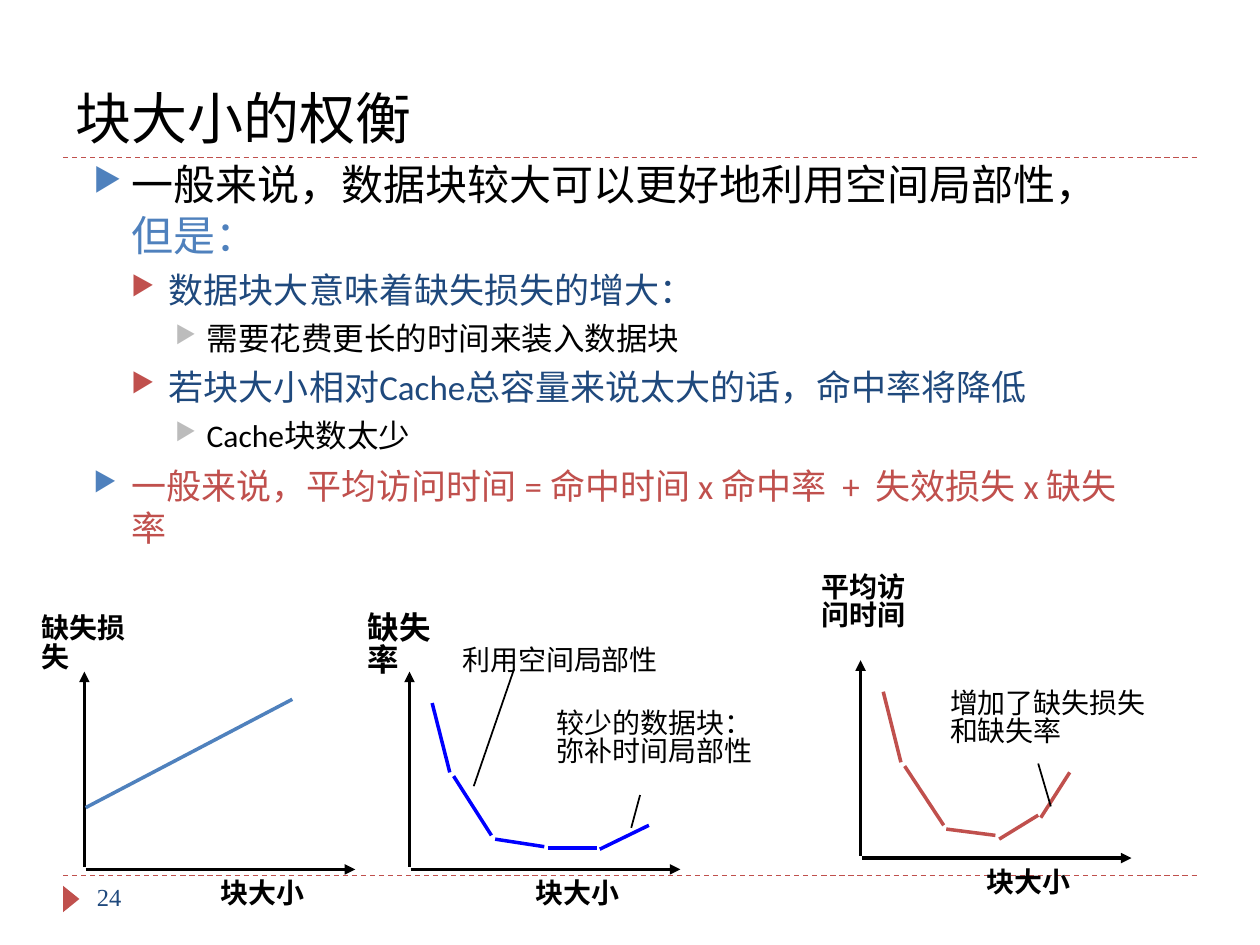
from dataclasses import dataclass

from lxml import etree
from pptx import Presentation
from pptx.dml.color import RGBColor
from pptx.enum.dml import MSO_LINE
from pptx.enum.shapes import MSO_CONNECTOR, MSO_SHAPE
from pptx.enum.text import MSO_ANCHOR, MSO_AUTO_SIZE, PP_ALIGN
from pptx.oxml.ns import qn
from pptx.util import Pt

DASH = MSO_LINE.DASH
STRAIGHT = MSO_CONNECTOR.STRAIGHT
TRIANGLE = MSO_SHAPE.ISOSCELES_TRIANGLE
BOTTOM, TOP = MSO_ANCHOR.BOTTOM, MSO_ANCHOR.TOP
NO_FIT = MSO_AUTO_SIZE.NONE
LEFT = PP_ALIGN.LEFT
PX = 9144


@dataclass(frozen=True)
class Theme:
    black: str = "000000"
    white: str = "FFFFFF"
    red: str = "C0504D"
    blue: str = "4F81BD"
    navy: str = "1F497D"
    gray: str = "BCBCBC"
    curve: str = "0000FF"
    body: str = "Calibri"
    label: str = "Arial"
    number: str = "Times New Roman"
    title_size: int = 32
    lead: int = 24
    second: int = 20
    third: int = 18
    small: int = 16
    page: int = 14


T = Theme()
LEVELS = ((30, -30, T.blue, 6), (60, -30, T.red, 5), (90, -25, T.gray, 5))


def px(*values):
    return [v * PX for v in values]


def rgb(color):
    return RGBColor.from_string(color)


def add_run(p, text, size=T.small, color=T.black, font=T.body, bold=False):
    r = p.add_run()
    r.text = text
    r.font.size, r.font.name, r.font.bold = Pt(size), font, bold
    r.font.color.rgb = rgb(color)


def frame(sp, inset=(7, 3), anchor=TOP):
    tf = sp.text_frame
    tf.word_wrap = True
    tf.auto_size = NO_FIT
    tf.vertical_anchor = anchor
    tf.margin_left = tf.margin_right = inset[0] * PX
    tf.margin_top = tf.margin_bottom = inset[1] * PX
    return tf


def add_text(s, box, lines, inset=(7, 3), spacing=None, **fmt):
    tf = frame(s.shapes.add_textbox(*px(*box)), inset)
    for i, line in enumerate(lines):
        p = tf.add_paragraph() if i else tf.paragraphs[0]
        p.line_spacing = spacing
        add_run(p, line, **fmt)


def add_label(s, box, *lines, **fmt):
    add_text(s, box, lines, spacing=0.85, font=T.label, **fmt)


def add_line(s, start, end, color=T.black, width=2, dash=None, arrow=False):
    c = s.shapes.add_connector(STRAIGHT, *px(*start, *end))
    c.line.color.rgb = rgb(color)
    c.line.width = Pt(width)
    if dash is not None:
        c.line.dash_style = dash
    if arrow:
        etree.SubElement(c.line._get_or_add_ln(), qn("a:tailEnd"), type="triangle")
    etree.SubElement(c._element.spPr, qn("a:effectLst"))


def add_bullet(p, level):
    left, indent, color, _ = LEVELS[level]
    p.level = level
    pPr = p._p.get_or_add_pPr()
    pPr.set("marL", str(left * PX))
    pPr.set("indent", str(indent * PX))
    clr = etree.SubElement(pPr, qn("a:buClr"))
    etree.SubElement(clr, qn("a:srgbClr"), val=color)
    etree.SubElement(pPr, qn("a:buSzPct"), val="76000")
    etree.SubElement(pPr, qn("a:buChar"), char="▶")


def add_outline(s, box, items):
    tf = frame(s.shapes.add_textbox(*px(*box)))
    for i, (level, size, runs) in enumerate(items):
        p = tf.add_paragraph() if i else tf.paragraphs[0]
        add_bullet(p, level)
        p.space_before = Pt(LEVELS[level][3] if i else 0)
        for text, color in runs:
            add_run(p, text, size=size, color=color)


def add_axes(s, x, top, label_x):
    base = top + 157
    add_line(s, (x, base - 2), (x, top), arrow=True)
    add_line(s, (x + 1, base), (x + 215, base), arrow=True)
    add_text(s, (label_x, base, 88, 36), ["块大小"], inset=(10, 5), bold=True)


def add_curve(s, segments, color):
    for x1, y1, x2, y2 in segments:
        add_line(s, (x1, y1), (x2, y2), color)


def add_title(s, text):
    sp = s.shapes.title
    sp.left, sp.top, sp.width, sp.height = px(50, 17, 900, 108)
    p = frame(sp, inset=(10, 5), anchor=BOTTOM).paragraphs[0]
    p.alignment = LEFT
    add_run(p, text, size=T.title_size)


def add_furniture(s):
    for y in (695, 125):
        add_line(s, (50, y), (950, y), T.red, 0.75, DASH)
    sp = s.shapes.add_shape(TRIANGLE, *px(46, 707, 21, 13))
    sp.rotation = 90
    sp.shadow.inherit = False
    sp.fill.solid()
    sp.fill.fore_color.rgb = rgb(T.red)
    sp.line.fill.background()
    add_text(s, (67, 695, 217, 40), ["24"], inset=(10, 5),
             size=T.page, font=T.number, color=T.navy)


def add_penalty_chart(s):
    add_axes(s, 67, 533, 165)
    add_label(s, (26, 486, 102, 50), "缺失损失", bold=True)
    add_line(s, (68, 641), (232, 555), T.blue)


def add_miss_rate_chart(s):
    add_axes(s, 325, 533, 415)
    add_label(s, (285, 484, 88, 55), "缺失率", size=T.third, bold=True)
    add_curve(s, ((343, 558, 357, 613), (360, 616, 390, 663),
                  (393, 666, 432, 672), (435, 673, 474, 673),
                  (476, 674, 515, 655)), T.curve)
    add_line(s, (376, 624), (408, 531), width=1)
    add_label(s, (360, 511, 171, 28), "利用空间局部性")
    add_line(s, (501, 657), (508, 631), width=1)
    add_label(s, (435, 561, 171, 51), "较少的数据块：", "弥补时间局部性")


def add_access_time_chart(s):
    add_axes(s, 683, 524, 773)
    add_label(s, (645, 453, 82, 51), "平均访", "问时间", bold=True)
    add_curve(s, ((701, 549, 715, 605), (718, 608, 749, 655),
                  (751, 658, 790, 663), (793, 666, 824, 647),
                  (826, 649, 849, 613)), T.red)
    add_line(s, (834, 640), (824, 606), width=1)
    add_label(s, (747, 545, 171, 51), "增加了缺失损失", "和缺失率")


def main():
    prs = Presentation()
    prs.slide_width, prs.slide_height = px(1000, 750)
    s = prs.slides.add_slide(prs.slide_layouts[5])
    s.background.fill.solid()
    s.background.fill.fore_color.rgb = rgb(T.white)
    add_furniture(s)
    add_title(s, "块大小的权衡")
    add_outline(s, (67, 123, 842, 311), (
        (0, T.lead, (("一般来说，数据块较大可以更好地利用空间局部性，", T.black),
                     ("但是：", T.blue))),
        (1, T.second, (("数据块大意味着缺失损失的增大：", T.navy),)),
        (2, T.third, (("需要花费更长的时间来装入数据块", T.black),)),
        (1, T.second, (("若块大小相对Cache总容量来说太大的话，命中率将降低", T.navy),)),
        (2, T.third, (("Cache块数太少", T.black),)),
        (0, T.second, (("一般来说，平均访问时间 = 命中时间 x 命中率  +  失效损失 x 缺失率",
                        T.red),)),
    ))
    add_penalty_chart(s)
    add_miss_rate_chart(s)
    add_access_time_chart(s)
    prs.save("out.pptx")


if __name__ == "__main__":
    main()
